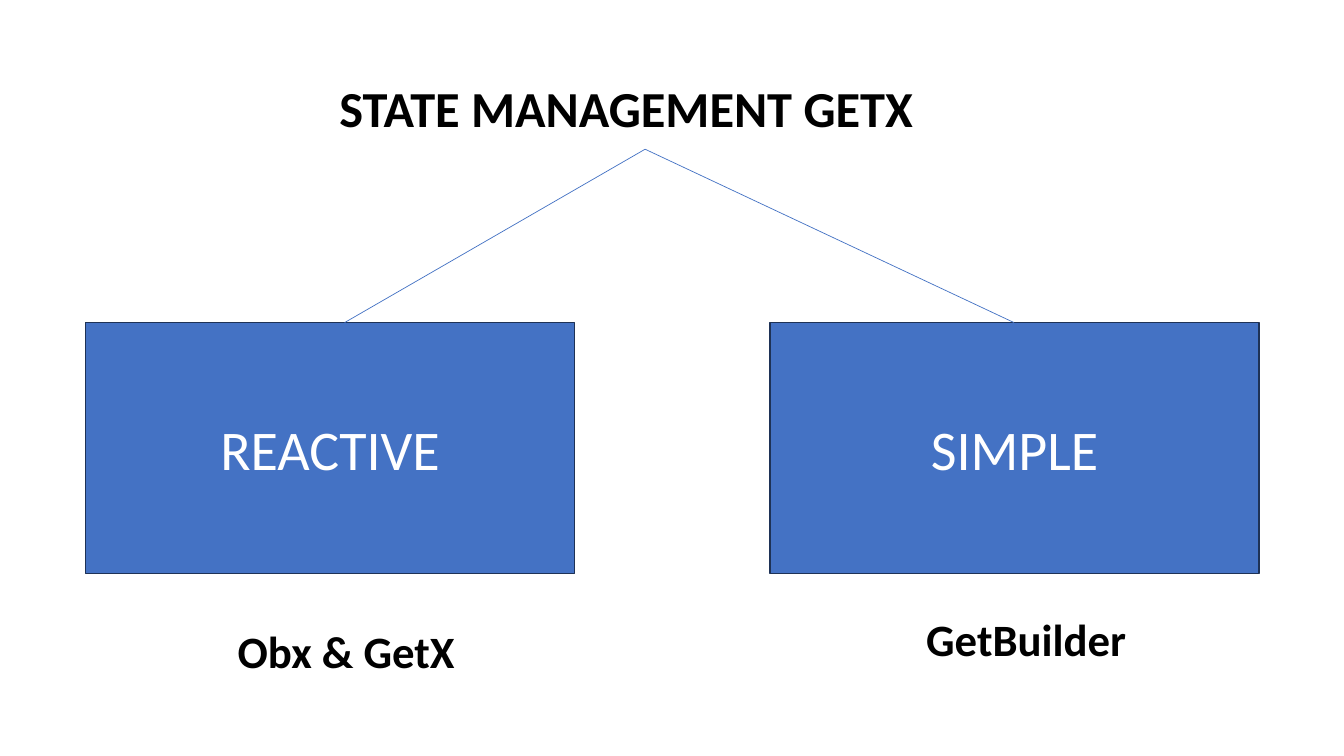
from pptx import Presentation
from pptx.dml.color import RGBColor
from pptx.enum.shapes import MSO_CONNECTOR, MSO_SHAPE
from pptx.enum.text import MSO_ANCHOR, MSO_AUTO_SIZE, PP_ALIGN
from pptx.oxml.ns import qn
from pptx.util import Pt
from lxml import etree

RECT = MSO_SHAPE.RECTANGLE
LINE = MSO_CONNECTOR.STRAIGHT
MIDDLE = MSO_ANCHOR.MIDDLE
CENTER = PP_ALIGN.CENTER
GROW = MSO_AUTO_SIZE.SHAPE_TO_FIT_TEXT
BLUE = RGBColor(0x44, 0x72, 0xC4)
NAVY = RGBColor(0x1E, 0x32, 0x56)
WHITE = RGBColor(0xFF, 0xFF, 0xFF)
BLACK = RGBColor(0, 0, 0)


def write(shape, text, size, color, bold):
    para = shape.text_frame.paragraphs[0]
    para.text = text
    para.font.name = "Calibri"
    para.font.size = Pt(size)
    para.font.color.rgb = color
    para.font.bold = bold
    return para


deck = Presentation()
deck.slide_width = Pt(960)
deck.slide_height = Pt(540)
shapes = deck.slides.add_slide(deck.slide_layouts[6]).shapes

title = shapes.add_textbox(Pt(235.4), Pt(26), Pt(489.6), Pt(80))
title.text_frame.word_wrap = True
title.text_frame.vertical_anchor = MIDDLE
write(title, "STATE MANAGEMENT GETX", 36, BLACK, True).line_spacing = 1.5

top = 230.4
branches = [
    ("REACTIVE", 61.2, 246.2, "Obx & GetX", 162.7, 442, 171.4),
    ("SIMPLE", 550.1, 724.3, "GetBuilder", 654.5, 433.4, 159.1),
]
for name, left, end, label, x, y, width in branches:
    box = shapes.add_shape(RECT, Pt(left), Pt(top), Pt(349.2), Pt(179.3))
    box.shadow.inherit = False
    box.fill.solid()
    box.fill.fore_color.rgb = BLUE
    box.line.color.rgb = NAVY
    box.line.width = Pt(1)
    box.text_frame.vertical_anchor = MIDDLE
    write(box, name, 40, WHITE, False).alignment = CENTER

    link = shapes.add_connector(LINE, Pt(460.8), Pt(106.6), Pt(end), Pt(top))
    link.line.color.rgb = BLUE
    link.line.width = Pt(0.5)
    etree.SubElement(link._element.spPr, qn("a:effectLst"))

    note = shapes.add_textbox(Pt(x), Pt(y), Pt(width), Pt(46))
    note.text_frame.word_wrap = False
    note.text_frame.auto_size = GROW
    write(note, label, 32, BLACK, True)

deck.save("out.pptx")
